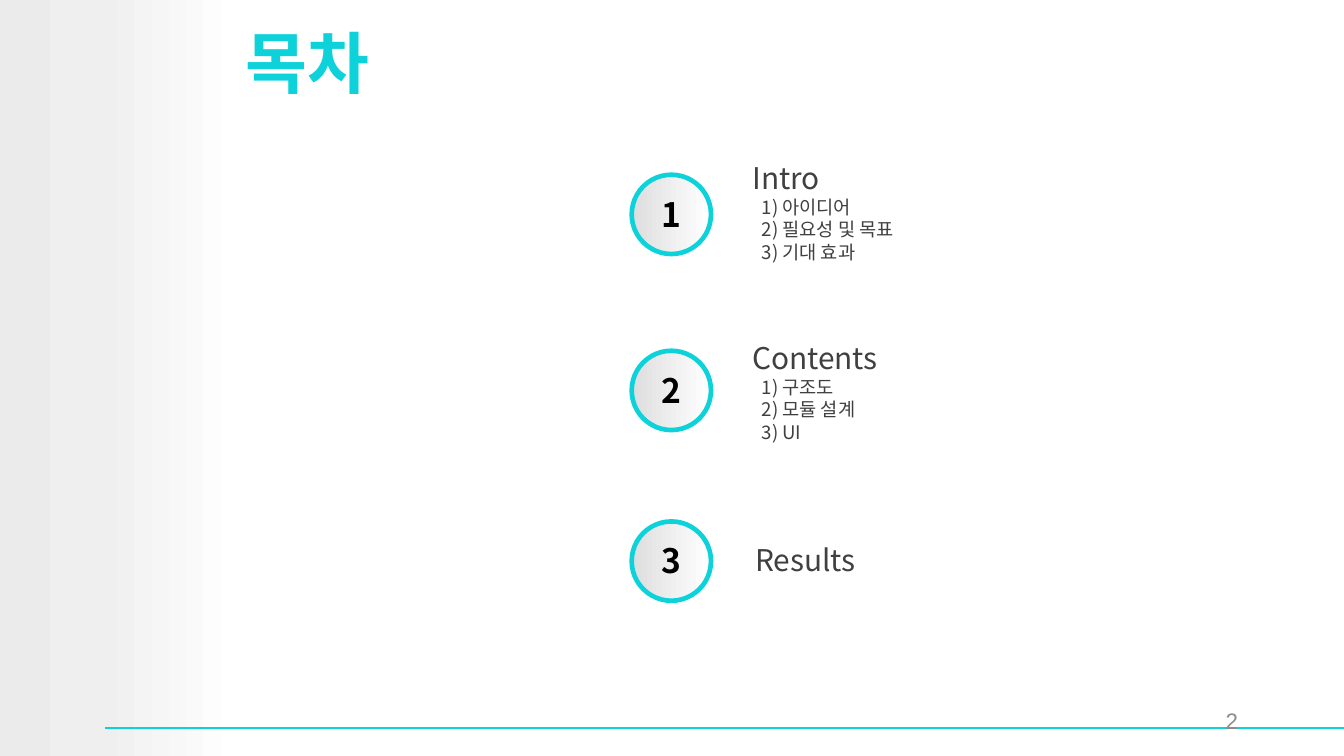
from copy import deepcopy
from dataclasses import dataclass

from lxml import etree
from pptx import Presentation
from pptx.dml.color import RGBColor
from pptx.enum import shapes, text
from pptx.oxml import ns
from pptx.util import Inches, Pt


@dataclass(frozen=True)
class Theme:
    accent: str = "0DD2D9"
    body: str = "404040"
    number: str = "000000"
    muted: str = "8C8C8C"
    side_stops: tuple = ((0, "EBEBEB"), (0.42, "EFEFEF"), (1, "FFFFFF"))
    badge_stops: tuple = ((0, "DEDEDE"), (1, "FFFFFF"))
    korean: str = "Noto Sans CJK KR"
    latin: str = "Arial"
    title_size: int = 36
    number_size: int = 18
    heading_size: int = 16
    page_size: int = 12
    item_size: int = 10


THEME = Theme()
SLIDE_W = 10
SLIDE_H = SLIDE_W * 9 / 16
BADGE_SIZE = 0.59
ITEM_INDENT = Inches(0.07)

# Badge top, text left, text top, text height, heading, items
SECTIONS = [
    (1.30, 5.50, 1.14, 0.88, "Intro", ["아이디어", "필요성 및 목표", "기대 효과"]),
    (2.61, 5.50, 2.48, 1.03, "Contents", ["구조도", "모듈 설계", "UI"]),
    (3.88, 5.52, 3.98, 0.37, "Results", []),
]


def inches(box):
    return [Inches(value) for value in box]


def style(paragraph, size, color, bold=False, face=THEME.korean):
    font = paragraph.font
    font.size, font.bold, font.name = Pt(size), bold, face
    font.color.rgb = RGBColor.from_string(color)
    latin = paragraph._p.pPr.find(ns.qn("a:defRPr")).find(ns.qn("a:latin"))
    latin.addnext(etree.Element(ns.qn("a:ea"), typeface=face))


def fill_gradient(shape, stops):
    shape.fill.gradient()
    shape.fill.gradient_angle = 0
    first = shape.fill._xPr.find(ns.qn("a:gradFill")).gsLst[0]
    for _ in stops[2:]:
        first.addnext(deepcopy(first))
    for stop, (position, color) in zip(shape.fill.gradient_stops, stops):
        stop.position = position
        stop.color.rgb = RGBColor.from_string(color)


def add_text_box(slide, box, anchor=text.MSO_ANCHOR.TOP):
    frame = slide.shapes.add_textbox(*inches(box)).text_frame
    frame.word_wrap = True
    frame.vertical_anchor = anchor
    return frame


def add_backdrop(slide, box):
    left, top, width, height = box
    # Shaded band on the left
    band = slide.shapes.add_shape(
        shapes.MSO_SHAPE.RECTANGLE, *inches((left, top, 1.77, height)))
    band.shadow.inherit = False
    band.line.fill.background()
    fill_gradient(band, THEME.side_stops)
    # Footer rule
    rule_y = top + 5.42
    rule = slide.shapes.add_connector(
        shapes.MSO_CONNECTOR.STRAIGHT,
        *inches((left + 0.78, rule_y, left + width, rule_y)))
    rule.line.color.rgb = RGBColor.from_string(THEME.accent)
    rule.line.width = Pt(1)
    etree.SubElement(rule._element.spPr, ns.qn("a:effectLst"))


def add_title(slide, box):
    title = add_text_box(slide, box, text.MSO_ANCHOR.MIDDLE).paragraphs[0]
    title.text = "목차"
    style(title, THEME.title_size, THEME.accent, bold=True)


def add_badge(slide, box, number):
    left, top, width, height = box
    badge = slide.shapes.add_shape(shapes.MSO_SHAPE.OVAL, *inches(box))
    badge.shadow.inherit = False
    fill_gradient(badge, THEME.badge_stops)
    badge.line.color.rgb = RGBColor.from_string(THEME.accent)
    badge.line.width = Pt(2.5)
    # Number centred over the disc
    frame = add_text_box(slide, (left + 0.1, top + 0.09, width - 0.2, 0.4),
                         text.MSO_ANCHOR.MIDDLE)
    label = frame.paragraphs[0]
    label.text = str(number)
    label.alignment = text.PP_ALIGN.CENTER
    style(label, THEME.number_size, THEME.number, bold=True)


def add_section_text(slide, box, heading, items):
    frame = add_text_box(slide, box)
    opening = frame.paragraphs[0]
    title = opening.add_run()
    title.text = heading
    title.font.size = Pt(THEME.heading_size)
    for number, item in enumerate(items, 1):
        # The first item follows the heading after a line break
        line = opening if number == 1 else frame.add_paragraph()
        if line is opening:
            line.add_line_break()
        line.add_run().text = f"{number}) {item}"
        properties = line._p.get_or_add_pPr()
        properties.set("marL", str(ITEM_INDENT))
        properties.set("indent", str(-ITEM_INDENT if line is opening else 0))
    for line in frame.paragraphs:
        style(line, THEME.item_size, THEME.body)


def add_page_number(slide, box):
    page = add_text_box(slide, box, text.MSO_ANCHOR.MIDDLE).paragraphs[0]
    page.text = "2"
    page.alignment = text.PP_ALIGN.RIGHT
    style(page, THEME.page_size, THEME.muted, face=THEME.latin)


def main():
    deck = Presentation()
    deck.slide_width, deck.slide_height = inches((SLIDE_W, SLIDE_H))
    slide = deck.slides.add_slide(deck.slide_layouts[6])

    add_backdrop(slide, (0, 0, SLIDE_W, SLIDE_H))
    add_title(slide, (1.73, 0.03, 8.27, 0.85))
    # Numbered contents
    for number, section in enumerate(SECTIONS, 1):
        badge_top, left, top, height, heading, items = section
        add_badge(slide, (4.7, badge_top, BADGE_SIZE, BADGE_SIZE), number)
        add_section_text(slide, (left, top, 3.83, height), heading, items)
    add_page_number(slide, (7.06, 5.21, 2.25, 0.3))

    deck.save("out.pptx")


if __name__ == "__main__":
    main()
